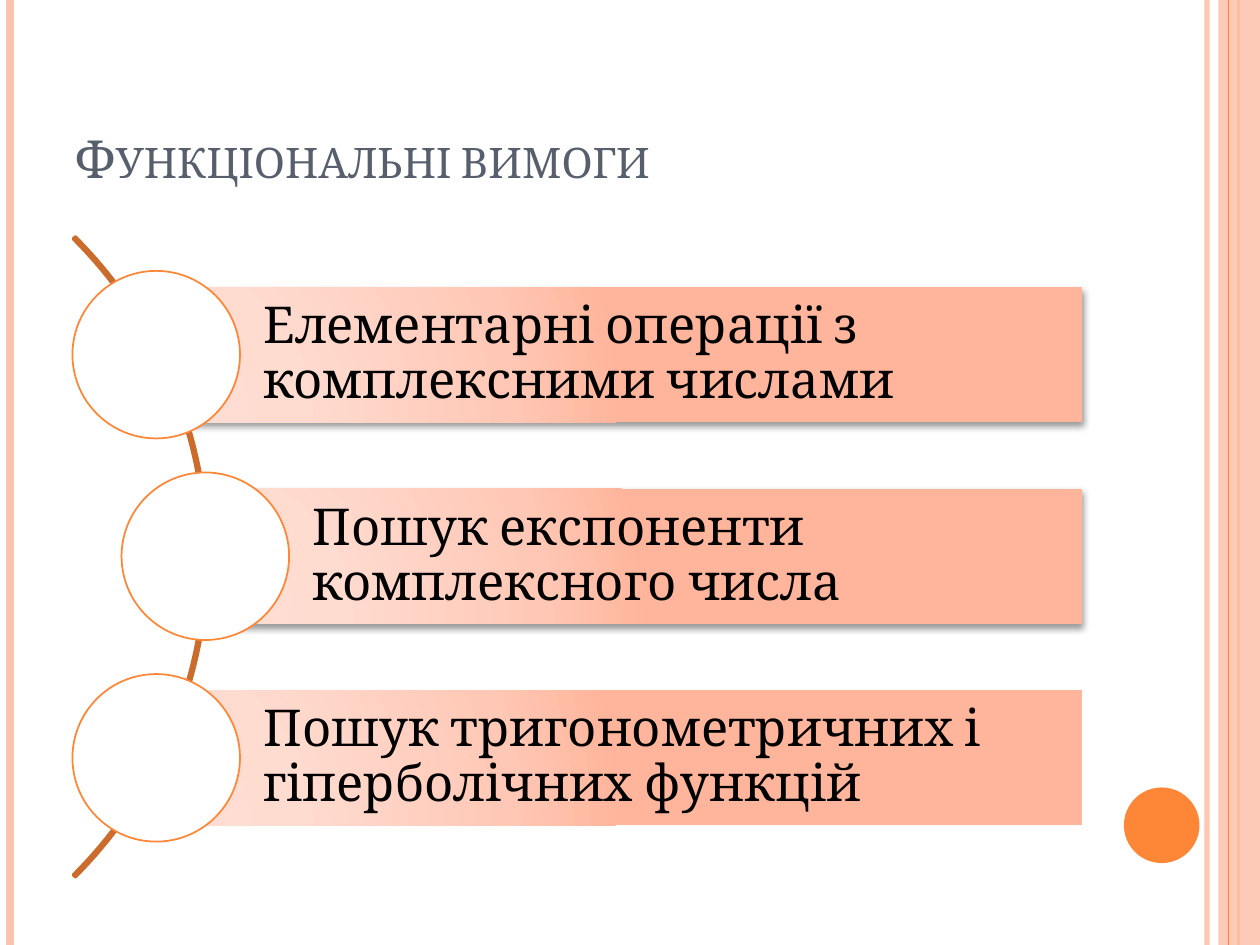
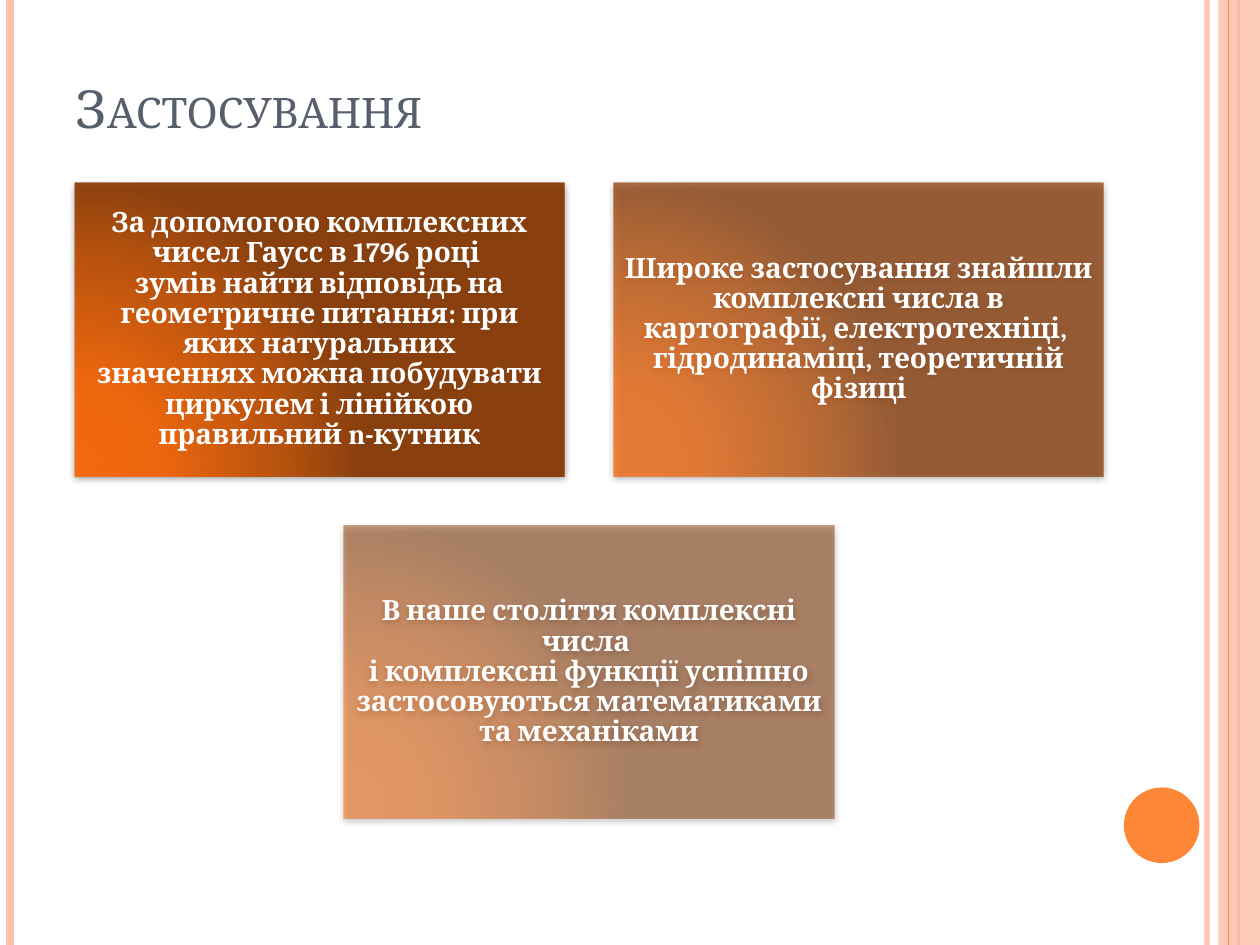
import lxml.etree
import pptx
import pptx.dml.color
import pptx.enum.shapes
import pptx.enum.text
import pptx.oxml
import pptx.oxml.ns
import pptx.util

Inches = pptx.util.Inches
Pt = pptx.util.Pt
qn = pptx.oxml.ns.qn
Shape = pptx.enum.shapes.MSO_SHAPE
Align = pptx.enum.text.PP_ALIGN
Anchor = pptx.enum.text.MSO_ANCHOR

FONT = "Cambria"
PEACH = "FEC3AE"
ORANGE = "FE8637"
ARC_BROWN = "CB6B2C"
TITLE_GREY = "575F6D"
WHITE = "FFFFFF"
BLACK = "000000"
STOPS = (0, 30, 75, 100)
PEACH_GLOW = ("FFDED5", "FFDBD0", "FFC8B6", "FFB59B")
EMBER_GLOW = ("FD6400", "F46100", "B74900", "873600")
SLIDE_HEIGHT = 7.5

REQUIREMENTS = (
    "Елементарні операції з комплексними числами",
    "Пошук експоненти комплексного числа",
    "Пошук тригонометричних і гіперболічних функцій",
)
APPLICATIONS = (
    "За допомогою комплексних чисел Гаусс в 1796 році \n"
    "зумів найти відповідь на геометричне питання: при яких натуральних\n"
    "значеннях можна побудувати циркулем і лінійкою правильний n-кутник",
    "Широке застосування знайшли комплексні числа в картографії, електротехніці, \n"
    "гідродинаміці, теоретичній фізиці",
    "В наше століття комплексні числа \n"
    "і комплексні функції успішно застосовуються математиками та механіками",
)


def paint(color_format, color, opacity=100):
    color_format.rgb = pptx.dml.color.RGBColor.from_string(color)
    if opacity < 100:
        choice = color_format._xFill.find(qn("a:srgbClr"))
        add_alpha(choice, opacity)


def add_alpha(color_element, opacity):
    lxml.etree.SubElement(color_element, qn("a:alpha"), val=str(opacity * 1000))


def add_figure(slide, preset, left, top, width, height,
               fill=None, opacity=100, line=None, weight=1):
    figure = slide.shapes.add_shape(
        preset, Inches(left), Inches(top), Inches(width), Inches(height))
    figure.shadow.inherit = False
    if fill:
        figure.fill.solid()
        paint(figure.fill.fore_color, fill, opacity)
    else:
        figure.fill.background()
    if line:
        paint(figure.line.color, line)
        figure.line.width = Pt(weight)
    else:
        figure.line.fill.background()
    return figure


def add_stripe(slide, x, color, weight, opacity=100):
    stripe = slide.shapes.add_connector(
        pptx.enum.shapes.MSO_CONNECTOR.STRAIGHT,
        Inches(x), 0, Inches(x), Inches(SLIDE_HEIGHT))
    paint(stripe.line.color, color, opacity)
    stripe.line.width = Pt(weight)
    lxml.etree.SubElement(stripe._element.spPr, qn("a:effectLst"))


def set_glow(figure, colors, opacity=100):
    properties = figure._element.spPr
    glow = pptx.oxml.parse_xml(
        f'<a:gradFill {pptx.oxml.ns.nsdecls("a")} rotWithShape="1"><a:gsLst/>'
        '<a:path path="circle">'
        '<a:fillToRect l="5000" t="100000" r="120000" b="10000"/>'
        '</a:path></a:gradFill>')
    for position, color in zip(STOPS, colors):
        stop = lxml.etree.SubElement(glow[0], qn("a:gs"), pos=str(position * 1000))
        shade = lxml.etree.SubElement(stop, qn("a:srgbClr"), val=color)
        if opacity < 100:
            add_alpha(shade, opacity)
    properties.replace(properties.find(qn("a:noFill")), glow)


def set_shadow(figure, opacity, distance):
    effects = figure._element.spPr.find(qn("a:effectLst"))
    shadow = lxml.etree.SubElement(
        effects, qn("a:outerShdw"), blurRad=str(Pt(4)), dist=str(Pt(distance)),
        dir="5400000", rotWithShape="0")
    add_alpha(lxml.etree.SubElement(shadow, qn("a:srgbClr"), val=BLACK), opacity)


def write(figure, text, size, color, align=Align.LEFT, anchor=Anchor.MIDDLE,
          margins=(0.1, 0.05, 0.1, 0.05), spacing=1, bold=False, small_caps=False):
    frame = figure.text_frame
    frame.word_wrap = True
    frame.vertical_anchor = anchor
    (frame.margin_left, frame.margin_top,
     frame.margin_right, frame.margin_bottom) = map(Inches, margins)
    paragraph = frame.paragraphs[0]
    paragraph.text = text
    paragraph.alignment = align
    paragraph.line_spacing = float(spacing)
    for run in paragraph.runs:
        run.font.name = FONT
        run.font.size = Pt(size)
        run.font.bold = bold
        paint(run.font.color, color)
        if small_caps:
            run._r.get_or_add_rPr().set("cap", "small")


def add_themed_slide(deck, title, title_height):
    slide = deck.slides.add_slide(deck.slide_layouts[6])
    add_stripe(slide, 9.58, PEACH, 3, 93)
    add_stripe(slide, 0.08, PEACH, 4.5)
    add_stripe(slide, 9.83, ORANGE, 1.5)
    add_figure(slide, Shape.RECTANGLE, 9.67, 0, 0.33, SLIDE_HEIGHT, PEACH, 87)
    add_stripe(slide, 9.75, ORANGE, 0.75)
    add_figure(slide, Shape.OVAL, 8.92, 6.25, 0.6, 0.6, ORANGE)
    heading = slide.shapes.add_textbox(
        Inches(0.5), Inches(0.3), Inches(8.17), Inches(title_height))
    write(heading, title, 30, TITLE_GREY, anchor=Anchor.BOTTOM, small_caps=True)
    return slide


def add_arc(slide):
    arc = add_figure(slide, Shape.BLOCK_ARC, -5.53, 0.83, 7.18, 7.18,
                     line=ARC_BROWN, weight=2)
    for index, value in enumerate((189, 27, 0.003)):
        arc.adjustments[index] = value


def add_requirement(slide, text, left, top):
    right, height, diameter = 8.59, 1.07, 1.33
    bar = add_figure(slide, Shape.RECTANGLE, left, top, right - left, height)
    set_glow(bar, PEACH_GLOW)
    set_shadow(bar, 40, 2)
    write(bar, text, 29, BLACK, margins=(0.85, 0.08, 0.08, 0.08), spacing=0.9)
    add_figure(slide, Shape.OVAL, left - diameter / 2, top + (height - diameter) / 2,
               diameter, diameter, WHITE, line=ORANGE)


def add_application(slide, text, left, top, opacity):
    card = add_figure(slide, Shape.RECTANGLE, left, top, 3.89, 2.33)
    set_glow(card, EMBER_GLOW, opacity)
    set_shadow(card, 42, 1.6)
    write(card, text, 16, WHITE, Align.CENTER, margins=(0.07,) * 4,
          spacing=0.9, bold=True)


def main():
    deck = pptx.Presentation()
    deck.slide_width = Inches(10)
    deck.slide_height = Inches(SLIDE_HEIGHT)

    requirements = add_themed_slide(deck, "Функціональні вимоги", 1.25)
    add_arc(requirements)
    for row, text in enumerate(REQUIREMENTS):
        add_requirement(requirements, text, 1.63 if row == 1 else 1.24, 2.28 + 1.6 * row)

    applications = add_themed_slide(deck, "Застосування", 0.85)
    places = ((0.59, 1.45), (4.87, 1.45), (2.73, 4.17))
    for index, (text, (left, top)) in enumerate(zip(APPLICATIONS, places)):
        add_application(applications, text, left, top, 90 - 20 * index)

    deck.save("out.pptx")


if __name__ == "__main__":
    main()
